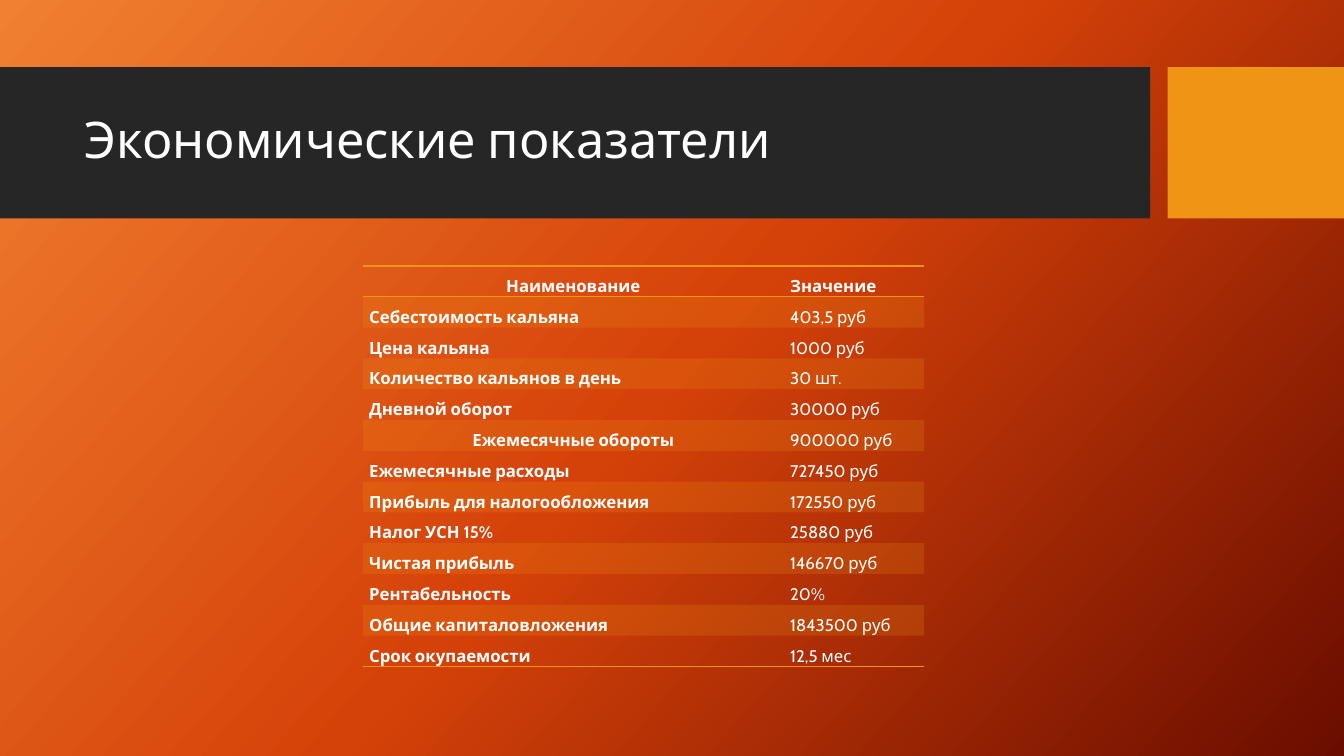
from copy import deepcopy

from pptx import Presentation
from pptx.dml.color import RGBColor
from pptx.enum.shapes import MSO_SHAPE
from pptx.enum.text import MSO_ANCHOR, PP_ALIGN
from pptx.oxml import parse_xml
from pptx.oxml.ns import nsdecls, qn
from pptx.util import Pt

FONT = "Cabin"
WHITE, DARK, AMBER = "FFFFFF", "262626", "F09415"
NO_STYLE = "{2D5ABB26-0587-4C30-8999-92F81FD0307C}"
GRADIENT = [(0, "F18031"), (0.5, "D54209"), (1, "6A0D00")]
HEADER = ("Наименование", "Значение")
INDICATORS = [
    ("Себестоимость кальяна", "403,5 руб"),
    ("Цена кальяна", "1000 руб"),
    ("Количество кальянов в день", "30 шт."),
    ("Дневной оборот", "30000 руб"),
    ("Ежемесячные обороты", "900000 руб"),
    ("Ежемесячные расходы", "727450 руб"),
    ("Прибыль для налогообложения", "172550 руб"),
    ("Налог УСН 15%", "25880 руб"),
    ("Чистая прибыль", "146670 руб"),
    ("Рентабельность", "20%"),
    ("Общие капиталовложения", "1843500 руб"),
    ("Срок окупаемости", "12,5 мес"),
]
CENTERED = {"Наименование", "Ежемесячные обороты"}


def color(value):
    return RGBColor.from_string(value)


def format_text(paragraph, size, spacing, bold=False):
    paragraph.line_spacing = spacing
    for run in paragraph.runs:
        run.font.name = FONT
        run.font.size = Pt(size)
        run.font.bold = bold
        run.font.color.rgb = color(WHITE)


def add_background(slide):
    fill = slide.background.fill
    fill.gradient()
    fill.gradient_angle = 360 - 42
    stop_list = slide.element.find(".//" + qn("a:gsLst"))
    stop_list.append(deepcopy(stop_list[0]))
    for stop, (position, value) in zip(fill.gradient_stops, GRADIENT):
        stop.position = position
        stop.color.rgb = color(value)


def add_header(slide, top, width, height):
    # Dark title band and amber block, separated by a gap
    band_width, block_width = 821.5, 126
    for left, bar_width, value in [
        (0, band_width, DARK),
        (width - block_width, block_width, AMBER),
    ]:
        bar = slide.shapes.add_shape(
            MSO_SHAPE.RECTANGLE, Pt(left), Pt(top), Pt(bar_width), Pt(height))
        bar.shadow.inherit = False
        bar.fill.solid()
        bar.fill.fore_color.rgb = color(value)
        bar.line.fill.background()

    # Title, brought in front of the band
    title = slide.shapes.title
    title.left, title.top = Pt(53.3), Pt(top + 11)
    title.width, title.height = Pt(756.7), Pt(85)
    title.text_frame.text = "Экономические показатели"
    title.text_frame.vertical_anchor = MSO_ANCHOR.MIDDLE
    paragraph = title.text_frame.paragraphs[0]
    paragraph.alignment = PP_ALIGN.LEFT
    format_text(paragraph, 36, 0.9)
    slide.shapes.element.append(title.element)


def add_border(cell, tag):
    cell.fill  # creates the cell properties
    cell._tc.tcPr.insert(0, parse_xml(
        f'<a:{tag} {nsdecls("a")} w="12700"><a:solidFill>'
        f'<a:srgbClr val="{AMBER}"/></a:solidFill></a:{tag}>'))


def fill_band(cell):
    cell.fill.solid()
    cell.fill.fore_color.rgb = color(AMBER)
    tint = cell._tc.tcPr.find(".//" + qn("a:srgbClr"))
    tint.append(parse_xml(f'<a:alpha {nsdecls("a")} val="20000"/>'))


def add_indicator_table(slide, left, top, width, height):
    rows = [HEADER] + INDICATORS
    frame = slide.shapes.add_table(
        len(rows), 2, Pt(left), Pt(top), Pt(width), Pt(height))
    table = frame.table
    table._tbl.tblPr.find(qn("a:tableStyleId")).text = NO_STYLE
    for column, share in zip(table.columns, (0.75, 0.25)):
        column.width = Pt(width * share)
    for row in table.rows:
        row.height = Pt(height / len(rows))

    for row_index, texts in enumerate(rows):
        for column_index, text in enumerate(texts):
            cell = table.cell(row_index, column_index)
            cell.margin_left = cell.margin_right = Pt(4.5)
            cell.margin_top = cell.margin_bottom = 0
            cell.text_frame.text = text
            paragraph = cell.text_frame.paragraphs[0]
            paragraph.alignment = (
                PP_ALIGN.CENTER if text in CENTERED else PP_ALIGN.LEFT)
            format_text(paragraph, 12, 1.5,
                        bold=row_index == 0 or column_index == 0)
            # Odd rows are tinted; rules frame the header and the last row
            if row_index % 2:
                fill_band(cell)
            else:
                cell.fill.background()
            if row_index in (0, len(rows) - 1):
                add_border(cell, "lnB")
            if row_index == 0:
                add_border(cell, "lnT")


def main():
    presentation = Presentation()
    presentation.slide_width, presentation.slide_height = Pt(960), Pt(540)
    slide = presentation.slides.add_slide(presentation.slide_layouts[5])
    add_background(slide)
    add_header(slide, 48, 960, 108)
    add_indicator_table(slide, 259.2, 190, 401, 284)
    presentation.save("out.pptx")


if __name__ == "__main__":
    main()
